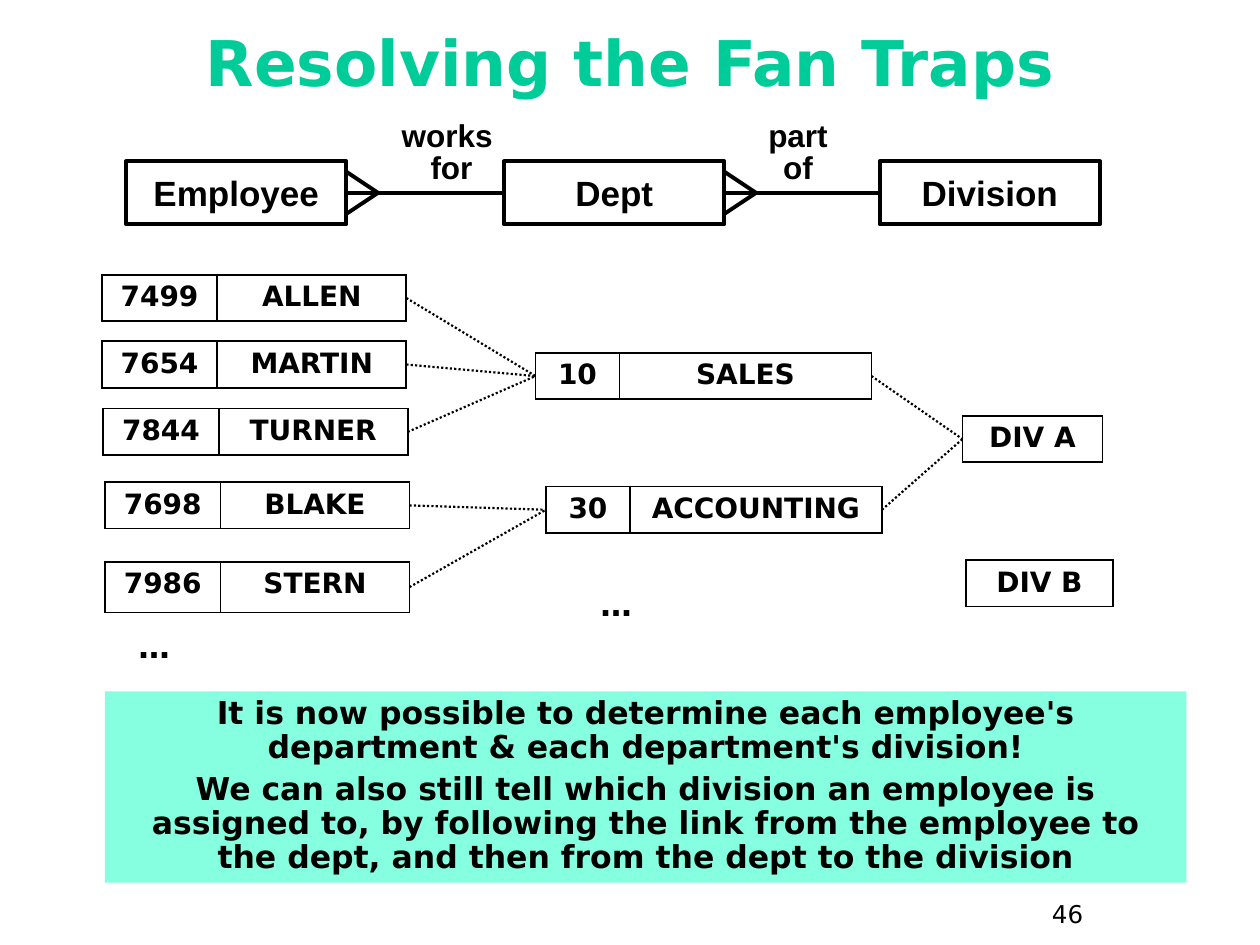
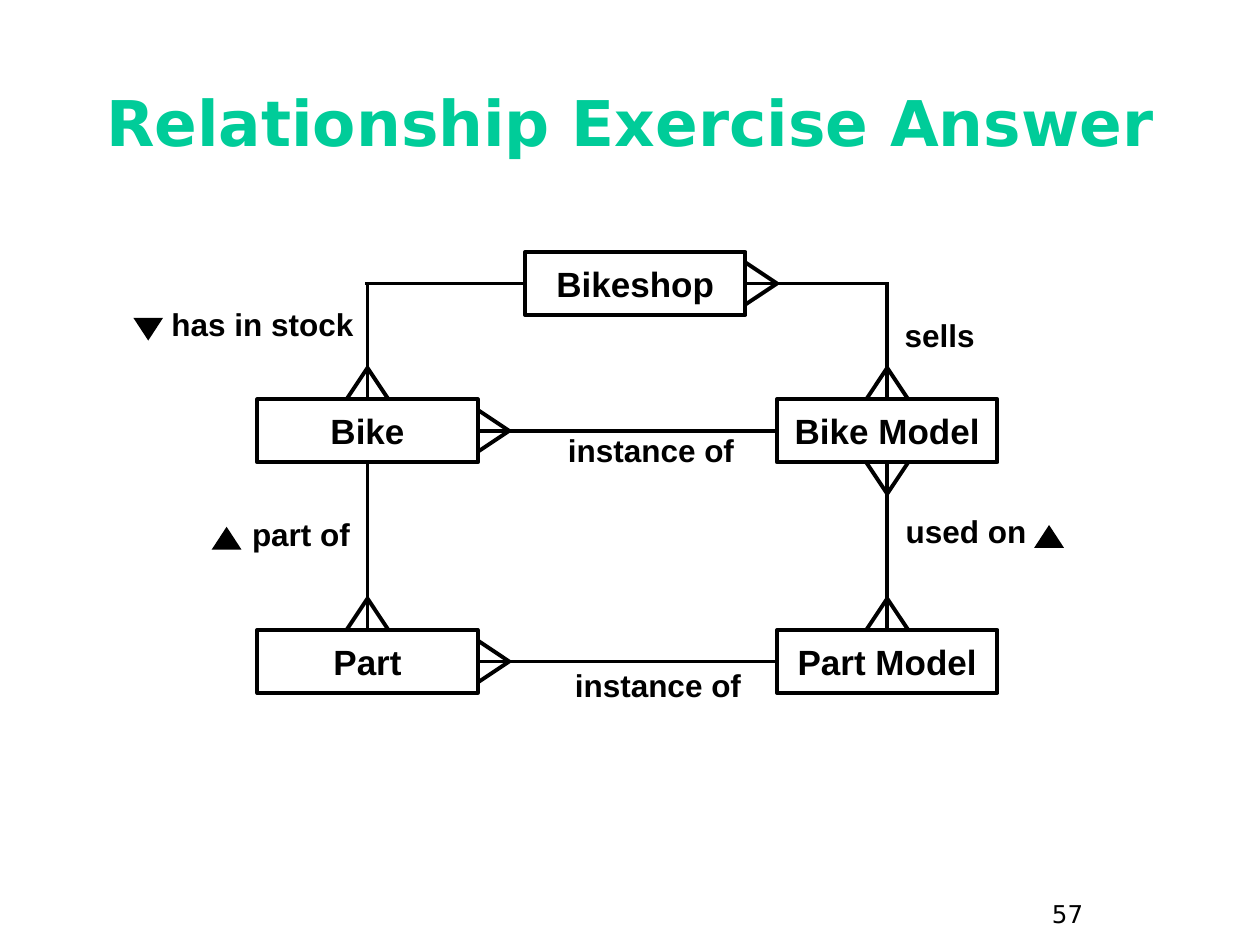
import pptx
import pptx.util
import pptx.dml.color
import pptx.enum.dml
import pptx.enum.shapes
import pptx.enum.text
import pptx.oxml
import pptx.oxml.ns

Pt = pptx.util.Pt
SHAPE = pptx.enum.shapes.MSO_SHAPE
ALIGN = pptx.enum.text.PP_ALIGN
ANCHOR = pptx.enum.text.MSO_ANCHOR

# Shared look
COLORS = {"title": "00CC99", "ink": "000000", "panel": "85FFDF"}
DIAGRAM_FONT = "Arial"
BODY_FONT = "DejaVu Sans"
LINE_WIDTH, DOTTED_WIDTH = 2.25, 1.25
ENTITY_WIDTH, ENTITY_HEIGHT = 126, 36
FOOT_LENGTH, FOOT_SPREAD = Pt(18), Pt(12)
RECORD_HEIGHT = 26.6
# Connection sites of a rectangle
TOP, LEFT, BOTTOM, RIGHT = range(4)


def rgb(name):
    return pptx.dml.color.RGBColor.from_string(COLORS[name])


def write(frame, paragraphs, size, font=BODY_FONT, bold=True, color="ink",
          align=ALIGN.CENTER, spacing=None, gap=0):
    for index, text in enumerate(paragraphs):
        paragraph = frame.add_paragraph() if index else frame.paragraphs[0]
        paragraph.text = text
        paragraph.alignment = align
        if spacing:
            paragraph.line_spacing = spacing
        if index:
            paragraph.space_before = Pt(gap)
        paragraph.font.size = Pt(size)
        paragraph.font.name = font
        paragraph.font.bold = bold
        paragraph.font.color.rgb = rgb(color)


def add_text(slide, text, box, size, anchor=ANCHOR.TOP, **style):
    frame = slide.shapes.add_textbox(*map(Pt, box)).text_frame
    frame.word_wrap = True
    frame.vertical_anchor = anchor
    write(frame, [text], size, **style)


def add_slide(deck, title, title_box, number):
    slide = deck.slides.add_slide(deck.slide_layouts[6])
    add_text(slide, number, (594, 510, 54, 26.6), 14, bold=False, align=ALIGN.LEFT)
    add_text(slide, title, title_box, 36, ANCHOR.MIDDLE, color="title")
    return slide


def add_filled(slide, kind, box, color):
    shape = slide.shapes.add_shape(kind, *map(Pt, box))
    shape.shadow.inherit = False
    shape.fill.solid()
    shape.fill.fore_color.rgb = rgb(color)
    shape.line.fill.background()
    return shape


def add_entity(slide, name, left, top):
    entity = slide.shapes.add_shape(
        SHAPE.RECTANGLE, Pt(left), Pt(top), Pt(ENTITY_WIDTH), Pt(ENTITY_HEIGHT))
    entity.shadow.inherit = False
    entity.fill.background()
    entity.line.color.rgb = rgb("ink")
    entity.line.width = Pt(LINE_WIDTH)
    entity.text_frame.word_wrap = False
    entity.text_frame.vertical_anchor = ANCHOR.MIDDLE
    write(entity.text_frame, [name], 20, DIAGRAM_FONT)
    return entity


def add_relation_label(slide, text, left, top, width=120):
    add_text(slide, text, (left, top, width, 26), 18, font=DIAGRAM_FONT, spacing=0.85)


def site_point(item, site):
    middle_x = item.left + item.width // 2
    middle_y = item.top + item.height // 2
    return {TOP: (middle_x, item.top), LEFT: (item.left, middle_y),
            BOTTOM: (middle_x, item.top + item.height),
            RIGHT: (item.left + item.width, middle_y)}[site]


def add_line(slide, start, end, dotted=False):
    line = slide.shapes.add_connector(
        pptx.enum.shapes.MSO_CONNECTOR.STRAIGHT, *start, *end)
    line.line.color.rgb = rgb("ink")
    line.line.width = Pt(DOTTED_WIDTH if dotted else LINE_WIDTH)
    if dotted:
        line.line.dash_style = pptx.enum.dml.MSO_LINE.ROUND_DOT
    line.element.spPr.append(pptx.oxml.parse_xml(
        f'<a:effectLst {pptx.oxml.ns.nsdecls("a")}/>'))
    return line


def add_crow_foot(slide, entity, site):
    """Draw the two outer toes that mark the "many" end."""
    x, y = site_point(entity, site)
    for spread in (-FOOT_SPREAD, FOOT_SPREAD):
        if site in (LEFT, RIGHT):
            tip = (x + (FOOT_LENGTH if site == RIGHT else -FOOT_LENGTH), y)
            toe = (x, y + spread)
        else:
            tip = (x, y + (FOOT_LENGTH if site == BOTTOM else -FOOT_LENGTH))
            toe = (x + spread, y)
        add_line(slide, tip, toe)


def relate(slide, first, first_site, second, second_site, many):
    """Connect two entities; many lists the (entity, site) ends with a crow's foot."""
    start, end = site_point(first, first_site), site_point(second, second_site)
    if first_site in (LEFT, RIGHT) and second_site == TOP:
        # Turn a square corner: the level leg overlaps the upright by half a line
        overlap = Pt(LINE_WIDTH / 2) * (1 if first_site == RIGHT else -1)
        first_leg = add_line(slide, start, (end[0] + overlap, start[1]))
        last_leg = add_line(slide, (end[0], start[1]), end)
    else:
        first_leg = last_leg = add_line(slide, start, end)
    first_leg.begin_connect(first, first_site)
    last_leg.end_connect(second, second_site)
    for entity, site in many:
        add_crow_foot(slide, entity, site)


def add_record(slide, values, widths, left, top, height=RECORD_HEIGHT):
    record = slide.shapes.add_table(
        1, len(values), Pt(left), Pt(top), Pt(sum(widths)), Pt(height))
    table = record.table
    table.first_row = table.horz_banding = False
    table.rows[0].height = Pt(height)
    for column, (value, width) in enumerate(zip(values, widths)):
        table.columns[column].width = Pt(width)
        cell = table.cell(0, column)
        write(cell.text_frame, [value], 16)
        cell.fill.background()
        properties = cell.fill._xPr
        for position, side in enumerate("LRTB"):
            properties.insert(position, pptx.oxml.parse_xml(
                f'<a:ln{side} {pptx.oxml.ns.nsdecls("a")} w="{Pt(1.08)}"><a:solidFill>'
                f'<a:srgbClr val="{COLORS["ink"]}"/></a:solidFill></a:ln{side}>'))
    return record


def link_records(slide, sources, target):
    for source in sources:
        add_line(slide, site_point(source, RIGHT), site_point(target, LEFT), dotted=True)


def build_fan_traps(deck):
    slide = add_slide(deck, "Resolving the Fan Traps", (24, 5, 672, 60), "46")

    # Entity diagram
    employee, dept, division = [
        add_entity(slide, name, left, 92.2)
        for name, left in (("Employee", 72), ("Dept", 288), ("Division", 502.6))]
    for many, one in ((employee, dept), (dept, division)):
        relate(slide, many, RIGHT, one, LEFT, [(many, RIGHT)])
    add_relation_label(slide, "works \vfor", 198, 66.2)
    add_relation_label(slide, "part\vof", 396, 66.2)

    # Conclusion panel
    panel = add_filled(slide, SHAPE.RECTANGLE, (60, 395, 618, 109.4), "panel")
    panel.text_frame.word_wrap = True
    panel.text_frame.vertical_anchor = ANCHOR.TOP
    write(panel.text_frame, [
        "It is now possible to determine each employee's department "
        "& each department's division!",
        "We can also still tell which division an employee is assigned to, by following "
        "the link from the employee to the dept, and then from the dept to the division",
    ], 18, spacing=0.9, gap=4.5)

    # Sample records
    employees = [
        add_record(slide, values, (66, 108), left, top, height)
        for values, left, top, height in (
            (("7499", "ALLEN"), 58.2, 157, RECORD_HEIGHT),
            (("7654", "MARTIN"), 58.2, 195, RECORD_HEIGHT),
            (("7844", "TURNER"), 59, 233.5, RECORD_HEIGHT),
            (("7698", "BLAKE"), 60, 275.5, RECORD_HEIGHT),
            (("7986", "STERN"), 60, 321, 29))]
    sales = add_record(slide, ("10", "SALES"), (48, 144), 306, 201.6)
    accounting = add_record(slide, ("30", "ACCOUNTING"), (48, 144), 312, 278)
    division_a = add_record(slide, ["DIV A"], [80], 550, 237.6)
    add_record(slide, ["DIV B"], [84], 552, 320)
    for left, top in ((336, 333.4), (72, 357)):
        add_text(slide, "…", (left, top, 132, 26.6), 18, align=ALIGN.LEFT, spacing=0.9)

    # Links between records
    link_records(slide, employees[:3], sales)
    link_records(slide, employees[3:], accounting)
    link_records(slide, (sales, accounting), division_a)


def build_exercise_answer(deck):
    slide = add_slide(deck, "Relationship Exercise Answer", (24, 41.6, 672, 55), "57")

    # Entities
    left_column, right_column = 147, 444
    bike_row, part_row = 228.2, 360
    shop = add_entity(slide, "Bikeshop", 300, 144)
    bike = add_entity(slide, "Bike", left_column, bike_row)
    bike_model = add_entity(slide, "Bike Model", right_column, bike_row)
    part = add_entity(slide, "Part", left_column, part_row)
    part_model = add_entity(slide, "Part Model", right_column, part_row)

    # Relationships
    relate(slide, shop, LEFT, bike, TOP, [(bike, TOP)])
    relate(slide, shop, RIGHT, bike_model, TOP, [(shop, RIGHT), (bike_model, TOP)])
    relate(slide, bike, BOTTOM, part, TOP, [(part, TOP)])
    relate(slide, bike_model, BOTTOM, part_model, TOP,
           [(bike_model, BOTTOM), (part_model, TOP)])
    for item, model in ((bike, bike_model), (part, part_model)):
        relate(slide, model, LEFT, item, RIGHT, [(item, RIGHT)])

    # Relationship names
    for text, left, top in (("has in stock", 90, 174), ("part of", 112, 294),
                            ("used on", 492, 292.4), ("instance of", 312, 246),
                            ("instance of", 316, 380.4)):
        add_relation_label(slide, text, left, top)
    add_relation_label(slide, "sells", 504, 180.4, 66)

    # Reading directions
    for left, top, turn in ((591, 300, 0), (121, 301, 0), (76.2, 181.6, 180)):
        pointer = add_filled(slide, SHAPE.ISOSCELES_TRIANGLE, (left, top, 17, 13), "ink")
        pointer.rotation = turn


def main():
    deck = pptx.Presentation()
    deck.slide_width, deck.slide_height = Pt(720), Pt(540)
    build_fan_traps(deck)
    build_exercise_answer(deck)
    deck.save("out.pptx")


if __name__ == "__main__":
    main()
